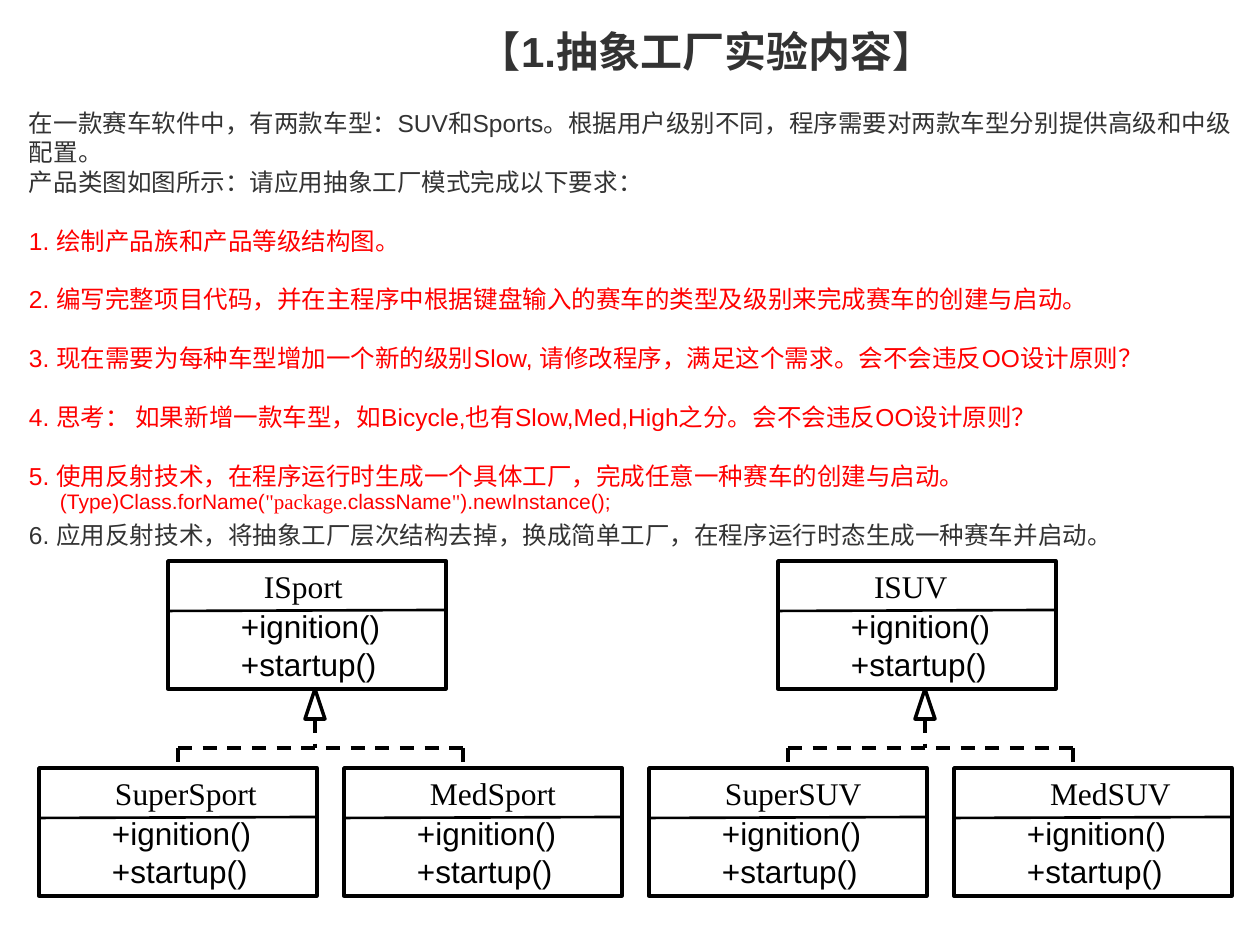
from pptx import Presentation
from pptx.dml.color import RGBColor
from pptx.enum.dml import MSO_LINE
from pptx.enum.shapes import MSO_CONNECTOR as Connector, MSO_SHAPE as Shape
from pptx.oxml.ns import qn
from pptx.util import Emu, Pt
from lxml.etree import SubElement

SCALE = 914400 / 126
SANS, SERIF = "Arial", "Times New Roman"
BLACK, GRAY, RED, WHITE = "000000", "333333", "FF0000", "FFFFFF"
FAMILY_STEP = 610
LEVEL_STEP = 305

INTRO = [
    "在一款赛车软件中，有两款车型：SUV和Sports。根据用户级别不同，程序需要对两款车型分别提供高级和中级配置。",
    "产品类图如图所示：请应用抽象工厂模式完成以下要求：",
]
TASKS = [
    "1. 绘制产品族和产品等级结构图。",
    "2. 编写完整项目代码，并在主程序中根据键盘输入的赛车的类型及级别来完成赛车的创建与启动。",
    "3. 现在需要为每种车型增加一个新的级别Slow, 请修改程序，满足这个需求。会不会违反OO设计原则？",
    "4. 思考： 如果新增一款车型，如Bicycle,也有Slow,Med,High之分。会不会违反OO设计原则？",
    "5. 使用反射技术，在程序运行时生成一个具体工厂，完成任意一种赛车的创建与启动。",
]
LAST_TASK = "6. 应用反射技术，将抽象工厂层次结构去掉，换成简单工厂，在程序运行时态生成一种赛车并启动。"
CODE = [
    ("(Type)Class.forName(", SANS),
    ('"package.', SERIF),
    ("className", SANS),
    ('"', SERIF),
    (").newInstance();", SANS),
]
FAMILIES = [
    [("ISport", 60, 127), ("SuperSport", 40, 190), ("MedSport", 50, 175)],
    [("ISUV", 60, 122), ("SuperSUV", 40, 185), ("MedSUV", 60, 169)],
]


def px(value):
    return Emu(round(value * SCALE))


def rgb(color):
    return RGBColor.from_string(color)


def write(para, text, *, size=18, font=SANS, color=BLACK, bold=False, before=0):
    span = para.add_run()
    span.text = text
    span.font.size = Pt(size)
    span.font.name = font
    span.font.bold = bold
    span.font.color.rgb = rgb(color)
    para.space_before = Pt(before)


def add_frame(slide, left, top, width, height, inset=(13, 6, 0, 6)):
    box = slide.shapes.add_textbox(px(left), px(top), px(width), px(height))
    frame = box.text_frame
    frame.word_wrap = True
    frame.margin_left, frame.margin_top, frame.margin_right, frame.margin_bottom = map(px, inset)
    return frame


def add_line(slide, x1, y1, x2, y2, width=2, dashed=False):
    line = slide.shapes.add_connector(Connector.STRAIGHT, px(x1), px(y1), px(x2), px(y2))
    line.line.color.rgb = rgb(BLACK)
    line.line.width = Pt(width)
    if dashed:
        line.line.dash_style = MSO_LINE.DASH
    SubElement(line._element.spPr, qn("a:effectLst"))


def add_outline(slide, kind, left, top, width, height, fill=None):
    shape = slide.shapes.add_shape(kind, px(left), px(top), px(width), px(height))
    shape.shadow.inherit = False
    if fill:
        shape.fill.solid()
        shape.fill.fore_color.rgb = rgb(fill)
    else:
        shape.fill.background()
    shape.line.color.rgb = rgb(BLACK)
    shape.line.width = Pt(2)


def add_class(slide, left, top, name, name_offset, name_width):
    add_outline(slide, Shape.RECTANGLE, left, top, 278, 128)
    title = add_frame(slide, left + name_offset, top, name_width, 50, (36, 6, 0, 6))
    write(title.paragraphs[0], name, font=SERIF)
    add_line(slide, left, top + 50, left + 278, top + 49, width=1.5)
    methods = add_frame(slide, left + 60, top + 40, 164, 88)
    write(methods.paragraphs[0], "+ignition()")
    write(methods.add_paragraph(), "+startup()")


def add_inheritance(slide, left):
    right, middle = left + 285, left + 137
    for x in (left, right):
        add_line(slide, x, 748, x, 767, dashed=True)
    add_line(slide, left, 748, right + 2, 748, dashed=True)
    add_outline(slide, Shape.ISOSCELES_TRIANGLE, middle - 10, 689, 20, 30, fill=WHITE)
    add_line(slide, middle, 719, middle, 748, dashed=True)


def add_family(slide, left, parent, *children):
    add_class(slide, left + 129, 561, *parent)
    add_inheritance(slide, left + 139)
    for index, child in enumerate(children):
        add_class(slide, left + index * LEVEL_STEP, 768, *child)


def add_assignment(slide):
    frame = add_frame(slide, 29, 71, 1211, 478, (0, 37, 0, 0))
    lines = [(text, GRAY, 0) for text in INTRO]
    lines += [(text, RED, 16.8) for text in TASKS]
    lines.append((LAST_TASK, GRAY, 16.8))
    for index, (text, color, before) in enumerate(lines):
        para = frame.add_paragraph() if index else frame.paragraphs[0]
        write(para, text, size=14, color=color, before=before)


def main():
    deck = Presentation()
    deck.slide_width, deck.slide_height = px(1260), px(945)
    slide = deck.slides.add_slide(deck.slide_layouts[6])
    add_assignment(slide)
    for index, family in enumerate(FAMILIES):
        add_family(slide, 39 + index * FAMILY_STEP, *family)
    heading = add_frame(slide, 466, 20, 500, 63)
    write(heading.paragraphs[0], "【1.抽象工厂实验内容】", size=24, color=GRAY, bold=True)
    code = add_frame(slide, 47, 483, 577, 38)
    for text, font in CODE:
        write(code.paragraphs[0], text, size=12, font=font, color=RED)
    deck.save("out.pptx")


if __name__ == "__main__":
    main()
